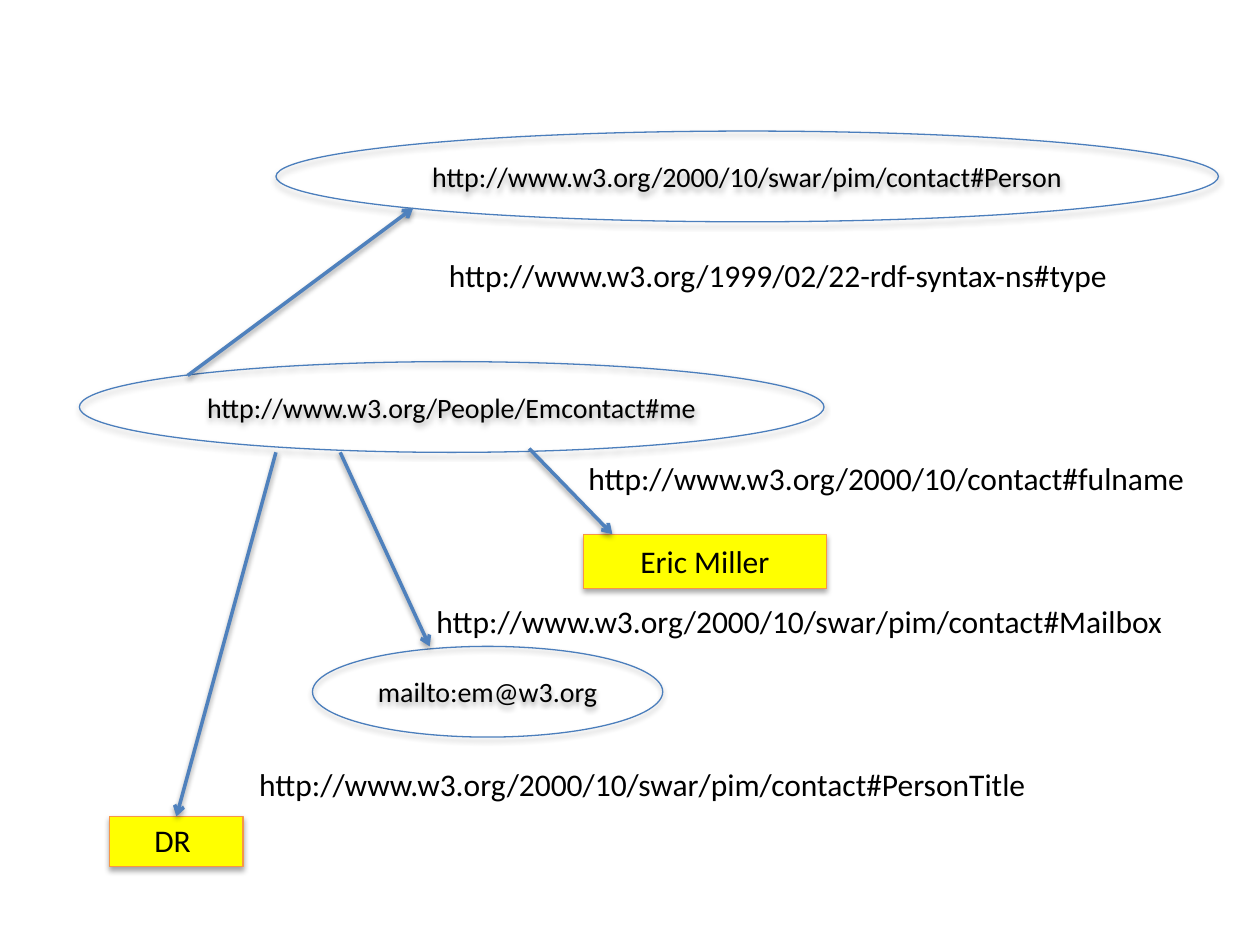
from lxml import etree
from pptx import Presentation
from pptx import util as u
from pptx.dml.color import RGBColor
from pptx.enum import shapes, text
from pptx.oxml.ns import qn

PX = 9144  # EMU per px, 100 px to the inch
COLORS = {"ink": "000000", "outline": "4B7EBC", "arrow": "4F81BD",
          "literal": "FFFF00", "literal_line": "F79646"}
FONT = "Calibri"


def color(name):
    return RGBColor.from_string(COLORS[name])


class Graph:
    """Draws the parts of an RDF graph on one slide."""

    def __init__(self, slide):
        self.shapes = slide.shapes

    def shadow(self, sp, dist, alpha):
        effects = etree.SubElement(sp._element.spPr, qn("a:effectLst"))
        outer = etree.SubElement(effects, qn("a:outerShdw"), blurRad="40000",
                                 dist=str(dist), dir="5400000", rotWithShape="0")
        clr = etree.SubElement(outer, qn("a:srgbClr"), val=COLORS["ink"])
        etree.SubElement(clr, qn("a:alpha"), val=str(alpha * 1000))

    def caption(self, sp, words, size):
        p = sp.text_frame.paragraphs[0]
        p.text = words
        p.alignment = text.PP_ALIGN.CENTER
        p.font.name, p.font.size = FONT, u.Pt(size)
        p.font.color.rgb = color("ink")

    def node(self, kind, box, line, fill=None, words="", size=16):
        sp = self.shapes.add_shape(kind, *(v * PX for v in box))
        if fill:
            sp.fill.solid()
            sp.fill.fore_color.rgb = color(fill)
        else:
            sp.fill.background()
        sp.line.color.rgb = color(line)
        sp.line.width = u.Pt(0.75)
        self.shadow(sp, 23000, 35)
        if words:
            sp.text_frame.vertical_anchor = text.MSO_ANCHOR.MIDDLE
            self.caption(sp, words, size)
        return sp

    def resource(self, words, *box):
        return self.node(shapes.MSO_SHAPE.OVAL, box, "outline", words=words)

    def literal(self, words, *box):
        return self.node(shapes.MSO_SHAPE.RECTANGLE, box, "literal_line",
                         "literal", words, 18)

    def label(self, words, x, y, w, h=40):
        sp = self.shapes.add_textbox(x * PX, y * PX, w * PX, h * PX)
        sp.text_frame.word_wrap = False
        sp.text_frame.auto_size = text.MSO_AUTO_SIZE.SHAPE_TO_FIT_TEXT
        self.caption(sp, words, 18)

    def arrow(self, x1, y1, x2, y2, target=None):
        c = self.shapes.add_connector(shapes.MSO_CONNECTOR.STRAIGHT,
                                      *(v * PX for v in (x1, y1, x2, y2)))
        if target is not None:
            c.end_connect(target, 0)
        c.line.color.rgb = color("arrow")
        c.line.width = u.Pt(2)
        etree.SubElement(c.line._get_or_add_ln(), qn("a:tailEnd"), type="arrow")
        self.shadow(c, 20000, 38)


def main():
    prs = Presentation()
    prs.slide_width, prs.slide_height = 1000 * PX, 750 * PX
    g = Graph(prs.slides.add_slide(prs.slide_layouts[6]))

    # Resources
    g.resource("http://www.w3.org/2000/10/swar/pim/contact#Person", 219, 104, 748, 72)
    g.resource("http://www.w3.org/People/Emcontact#me", 63, 287, 591, 72)
    g.resource("mailto:em@w3.org", 248, 513, 278, 72)

    # Literals; the title's text sits in its own box
    title = g.literal("", 87, 648, 106, 40)
    g.label("DR", 112, 647, 50)
    g.literal("Eric Miller", 463, 424, 193, 43)

    # Arrows from the person to each value
    g.arrow(149, 298, 328, 165)
    g.arrow(219, 359, 140, 648, title)
    g.arrow(270, 359, 341, 513)
    g.arrow(420, 356, 486, 424)

    # Property names
    for words, x, y, w in (
        ("http://www.w3.org/1999/02/22-rdf-syntax-ns#type", 341, 198, 553),
        ("http://www.w3.org/2000/10/contact#fulname", 453, 359, 501),
        ("http://www.w3.org/2000/10/swar/pim/contact#Mailbox", 331, 473, 607),
        ("http://www.w3.org/2000/10/swar/pim/contact#PersonTitle", 190, 602, 640),
    ):
        g.label(words, x, y, w)

    prs.save("out.pptx")


if __name__ == "__main__":
    main()
